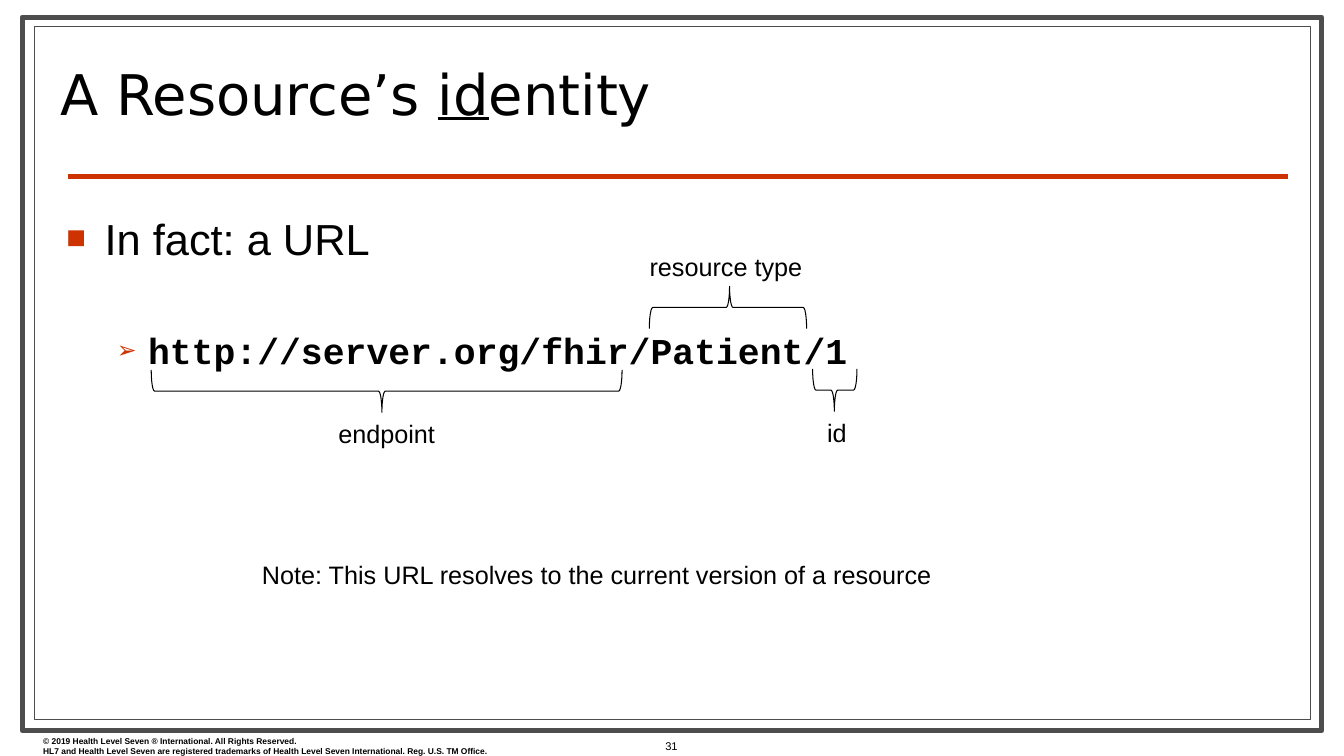
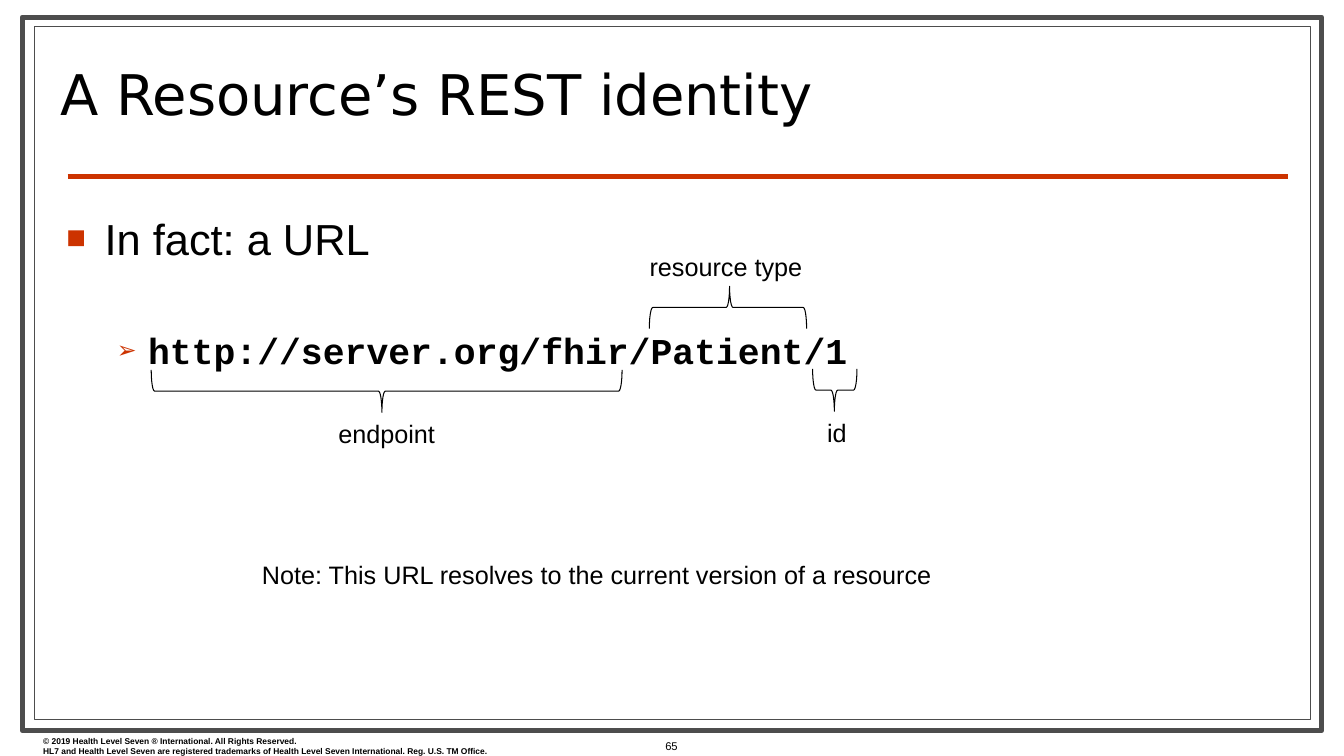
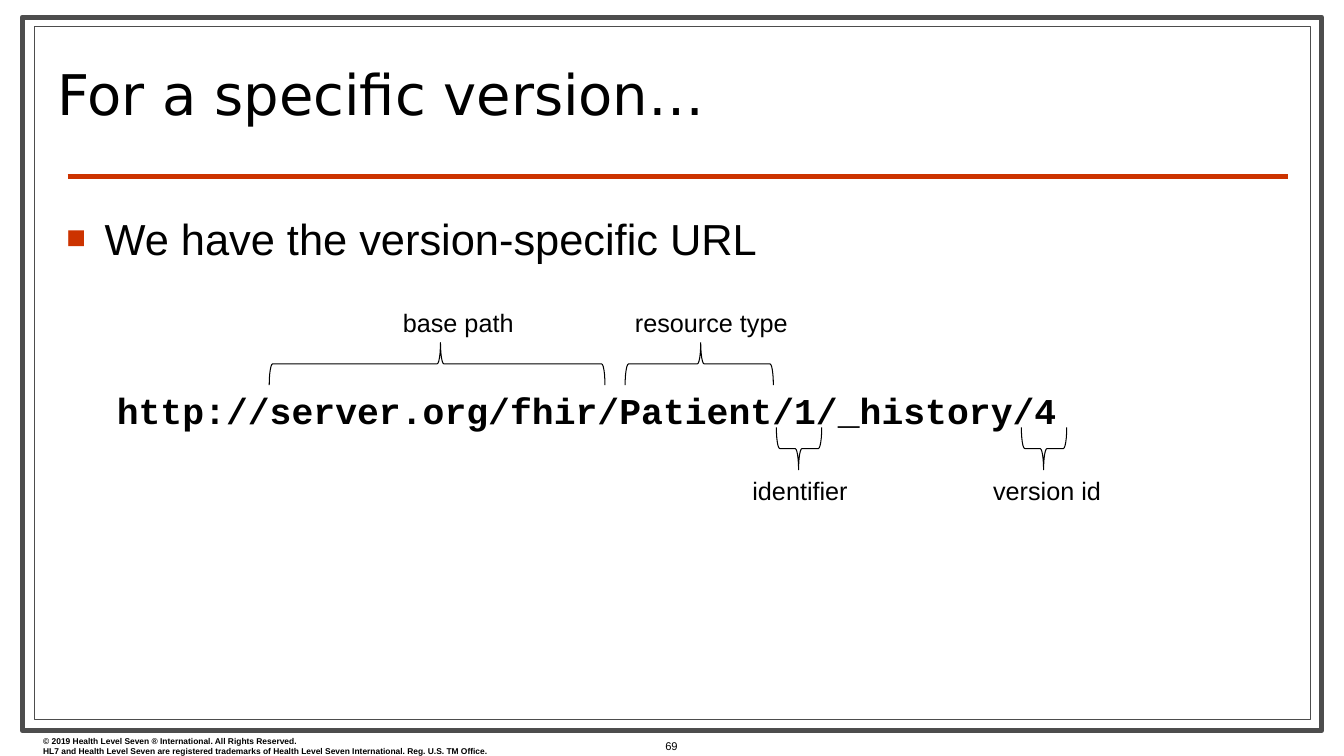
import dataclasses

import lxml.etree
import pptx
import pptx.dml.color
import pptx.enum.shapes
import pptx.enum.text
import pptx.oxml.ns
import pptx.util

PX = 9144
SHAPE = pptx.enum.shapes.MSO_SHAPE
ALIGN = pptx.enum.text.PP_ALIGN
ANCHOR = pptx.enum.text.MSO_ANCHOR


@dataclasses.dataclass(frozen=True)
class Theme:
    ink: str = "000000"
    paper: str = "FFFFFF"
    frame: str = "4D4D4D"
    accent: str = "CC3300"
    heading: str = "DejaVu Sans"
    text: str = "Arial"
    code: str = "Courier New"
    title_size: int = 40
    body_size: int = 31
    code_size: int = 26
    label_size: int = 18
    number_size: int = 8
    legal_size: int = 6


THEME = Theme()
COPYRIGHT = (
    "© 2019 Health Level Seven ® International. All Rights Reserved.\n"
    "HL7 and Health Level Seven are registered trademarks of "
    "Health Level Seven International. Reg. U.S. TM Office."
)


def px(*lengths):
    return [pptx.util.Emu(round(v * PX)) for v in lengths]


def rgb(value):
    return pptx.dml.color.RGBColor.from_string(value)


def style(font, size, name=THEME.text, bold=False):
    font.size = pptx.util.Pt(size)
    font.name = name
    font.bold = bold
    font.color.rgb = rgb(THEME.ink)


def add_text(s, box, text, size, name=THEME.text, bold=False, wrap=True, align=ALIGN.LEFT):
    sp = s.shapes.add_textbox(*px(*box))
    tf = sp.text_frame
    tf.word_wrap = wrap
    tf.text = text
    for p in tf.paragraphs:
        p.alignment = align
        for r in p.runs:
            style(r.font, size, name, bold)
    return tf


def add_outline(s, kind, box, weight, color, fill=None):
    sp = s.shapes.add_shape(kind, *px(*box))
    sp.shadow.inherit = False
    if fill:
        sp.fill.solid()
        sp.fill.fore_color.rgb = rgb(fill)
    else:
        sp.fill.background()
    sp.line.color.rgb = rgb(color)
    sp.line.width = pptx.util.Pt(weight)
    return sp


def indent(p, margin, hanging=0, char=None, percent=100):
    pPr = p._p.get_or_add_pPr()
    pPr.set("marL", str(margin * PX))
    pPr.set("indent", str(-hanging * PX))
    qn = pptx.oxml.ns.qn
    if char is None:
        lxml.etree.SubElement(pPr, qn("a:buNone"))
        return
    color = lxml.etree.SubElement(pPr, qn("a:buClr"))
    lxml.etree.SubElement(color, qn("a:srgbClr"), val=THEME.accent)
    lxml.etree.SubElement(pPr, qn("a:buSzPct"), val=str(percent * 1000))
    lxml.etree.SubElement(pPr, qn("a:buFont"), typeface=THEME.text)
    lxml.etree.SubElement(pPr, qn("a:buChar"), char=char)


def add_frame(s, box, number):
    x, y, w, h = box
    add_outline(s, SHAPE.RECTANGLE, box, 3.5, THEME.frame, THEME.paper)
    add_outline(s, SHAPE.RECTANGLE, (x + 12, y + 9, w - 23, h - 20), 0.75, THEME.frame, THEME.paper)
    rule = s.shapes.add_connector(
        pptx.enum.shapes.MSO_CONNECTOR.STRAIGHT, *px(x + 45, y + 158, x + w - 34, y + 158)
    )
    rule.line.color.rgb = rgb(THEME.accent)
    rule.line.width = pptx.util.Pt(3)
    lxml.etree.SubElement(rule._element.spPr, pptx.oxml.ns.qn("a:effectLst"))
    add_text(s, (x + 11, y + h, 644, 30), COPYRIGHT, THEME.legal_size, bold=True)
    add_text(s, (x + 628, y + h + 4, 34, 24), number, THEME.number_size, wrap=False)


def add_title(s, box, title, underlined):
    tf = add_text(s, box, "", THEME.title_size)
    tf.vertical_anchor = ANCHOR.MIDDLE
    p = tf.paragraphs[0]
    p.line_spacing = 0.8
    before, mark, after = title.partition(underlined) if underlined else (title, "", "")
    for part in filter(None, (before, mark, after)):
        r = p.add_run()
        r.text = part
        style(r.font, THEME.title_size, THEME.heading)
        if part == mark:
            r.font.underline = True


def add_body(s, box, lead, url, gap, bulleted):
    tf = add_text(s, box, f"{lead}\n{url}", THEME.body_size)
    lead_p, url_p = tf.paragraphs
    indent(lead_p, 38, 38, "■", 75)
    if bulleted:
        indent(url_p, 81, 31, "➢", 65)
    else:
        indent(url_p, 50)
    url_p.space_before = pptx.util.Pt(gap)
    style(url_p.runs[0].font, THEME.code_size, THEME.code, True)


def add_callout(s, box, text, above, shift):
    x, y, w, h = box
    middle = x + w / 2
    sp = add_outline(s, SHAPE.LEFT_BRACE, (middle - h / 2, y + h / 2 - w / 2, h, w), 0.75, THEME.ink)
    sp.rotation = 90 if above else 270
    sp.adjustments[0] = 0.08
    sp.adjustments[1] = 0.49
    label_y = y - 40 if above else y + 43
    add_text(s, (middle + shift - 90, label_y, 180, 40), text, THEME.label_size, align=ALIGN.CENTER)


def add_url_slide(prs, number, title, lead, url, gap, callouts, title_x=50,
                  underlined=None, bulleted=True, note=None):
    s = prs.slides.add_slide(prs.slide_layouts[6])
    add_frame(s, (22, 17, 1289, 708), number)
    add_title(s, (title_x, 36, 954, 126), title, underlined)
    add_body(s, (56, 205, 1222, 485), lead, url, gap, bulleted)
    for text, x, y, w, above, shift in callouts:
        add_callout(s, (x, y, w, 42), text, above, shift)
    if note:
        add_text(s, (250, 550, 691, 40), note, THEME.label_size, wrap=False)


def main():
    prs = pptx.Presentation()
    prs.slide_width, prs.slide_height = px(1333, 750)
    current = dict(
        lead="In fact: a URL",
        url="http://server.org/fhir/Patient/1",
        gap=46,
        callouts=(
            ("endpoint", 150, 367, 467, False, 0),
            ("resource type", 644, 284, 156, True, -2),
            ("id", 806, 366, 44, False, 2),
        ),
        note="Note: This URL resolves to the current version of a resource",
    )
    add_url_slide(prs, "31", "A Resource’s identity", underlined="id", **current)
    add_url_slide(prs, "65", "A Resource’s REST identity", **current)
    add_url_slide(
        prs, "69", "For a specific version…",
        lead="We have the version-specific URL",
        url="http://server.org/fhir/Patient/1/_history/4",
        gap=89,
        callouts=(
            ("base path", 267, 340, 333, True, 21),
            ("resource type", 620, 340, 147, True, 12),
            ("identifier", 770, 424, 45, False, 1),
            ("version id", 1013, 424, 45, False, 3),
        ),
        title_x=47,
        bulleted=False,
    )
    prs.save("out.pptx")


if __name__ == "__main__":
    main()
